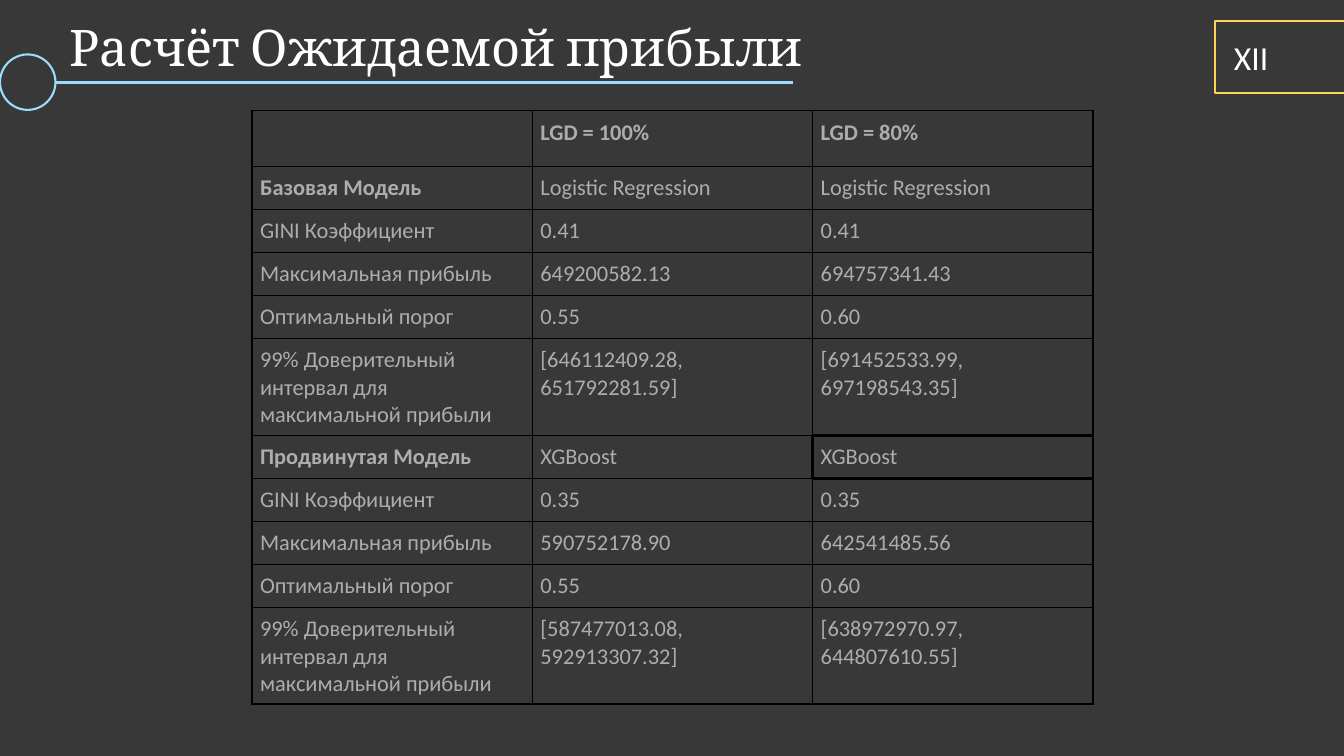
"""Build the expected profit slide with its model comparison table."""
from dataclasses import dataclass

from lxml import etree
from pptx import Presentation
from pptx.dml.color import RGBColor
from pptx.enum.shapes import MSO_CONNECTOR, MSO_SHAPE
from pptx.enum.text import MSO_AUTO_SIZE
from pptx.oxml.ns import qn
from pptx.util import Inches, Pt

STRAIGHT = MSO_CONNECTOR.STRAIGHT
OVAL, RECTANGLE = MSO_SHAPE.OVAL, MSO_SHAPE.RECTANGLE
FIT_SHAPE = MSO_AUTO_SIZE.SHAPE_TO_FIT_TEXT

BACKGROUND, WHITE, GRAY, BLACK = "383838", "FFFFFF", "ADADAD", "000000"
BLUE, YELLOW = "9CDCFE", "FED355"
THIN, THICK = 1, 2.25
HEADER_HEIGHT, ROW_HEIGHT, INTERVAL_HEIGHT = 0.55, 0.42, 0.96
COLUMN_WIDTH = 2.78
CELL_MARGIN = 0.08
HIGHLIGHTED = (6, 2)
SIDES = {"L": (0, -1), "R": (0, 1), "T": (-1, 0), "B": (1, 0)}


@dataclass
class Label:
    text: str
    left: float
    top: float
    width: float
    height: float
    size: float
    font: str
    wrap: bool


@dataclass
class Outline:
    kind: int
    left: float
    top: float
    width: float
    height: float
    color: str


@dataclass
class Model:
    title: str
    name: str
    gini: str
    profits: tuple[str, str]
    intervals: tuple[str, str]

    def rows(self) -> list[tuple[str, str, str]]:
        return [
            (self.title, self.name, self.name),
            ("GINI Коэффициент", self.gini, self.gini),
            ("Максимальная прибыль", *self.profits),
            ("Оптимальный порог", "0.55", "0.60"),
            ("99% Доверительный интервал для максимальной прибыли", *self.intervals),
        ]


LABELS = [
    Label("Расчёт Ожидаемой прибыли", 0.59, 0.11, 11.07, 0.71, 36, "Cambria", True),
    Label("XII", 12.14, 0.32, 0.77, 0.5, 24, "Calibri", False),
]
OUTLINES = [
    Outline(OVAL, 0, 0.54, 0.55, 0.55, BLUE),
    Outline(RECTANGLE, 12.05, 0.21, 1.61, 0.71, YELLOW),
]
MODELS = [
    Model("Базовая Модель", "Logistic Regression", "0.41",
          ("649200582.13", "694757341.43"),
          ("[646112409.28, 651792281.59]", "[691452533.99, 697198543.35]")),
    Model("Продвинутая Модель", "XGBoost", "0.35",
          ("590752178.90", "642541485.56"),
          ("[587477013.08, 592913307.32]", "[638972970.97, 644807610.55]")),
]


def rgb(value: str) -> RGBColor:
    return RGBColor.from_string(value)


def write(paragraph, text: str, color: str, **formats) -> None:
    span = paragraph.add_run()
    span.text = text
    for name, value in formats.items():
        setattr(span.font, name, value)
    span.font.color.rgb = rgb(color)


def add_label(page, label: Label) -> None:
    box = page.shapes.add_textbox(Inches(label.left), Inches(label.top),
                                  Inches(label.width), Inches(label.height))
    frame = box.text_frame
    frame.word_wrap = label.wrap
    frame.auto_size = FIT_SHAPE
    write(frame.paragraphs[0], label.text, WHITE, size=Pt(label.size), name=label.font)


def add_outline(page, outline: Outline) -> None:
    shape = page.shapes.add_shape(outline.kind, Inches(outline.left), Inches(outline.top),
                                  Inches(outline.width), Inches(outline.height))
    shape.shadow.inherit = False
    shape.fill.background()
    shape.line.color.rgb = rgb(outline.color)
    shape.line.width = Pt(1.5)


def add_title_rule(page) -> None:
    rule = page.shapes.add_connector(STRAIGHT, Inches(0.55), Inches(0.82),
                                     Inches(7.87), Inches(0.82))
    rule.line.color.rgb = rgb(BLUE)
    rule.line.width = Pt(2.25)
    etree.SubElement(rule._element.spPr, qn("a:effectLst"))


def add_borders(cell, row: int, column: int) -> None:
    properties = cell._tc.get_or_add_tcPr()
    for side, (down, across) in SIDES.items():
        touching = HIGHLIGHTED in ((row, column), (row + down, column + across))
        width = Pt(THICK if touching else THIN)
        border = etree.SubElement(properties, qn(f"a:ln{side}"), w=str(width))
        fill = etree.SubElement(border, qn("a:solidFill"))
        etree.SubElement(fill, qn("a:srgbClr"), val=BLACK)


def add_profit_table(page) -> None:
    rows = [("", "LGD = 100%", "LGD = 80%")]
    heights = [HEADER_HEIGHT]
    for model in MODELS:
        rows += model.rows()
        heights += [ROW_HEIGHT] * 4 + [INTERVAL_HEIGHT]
    titles = [model.title for model in MODELS]
    table = page.shapes.add_table(len(rows), 3, Inches(2.5), Inches(1.1),
                                  Inches(3 * COLUMN_WIDTH), Inches(sum(heights))).table
    table.first_row = table.horz_banding = False
    for column in table.columns:
        column.width = Inches(COLUMN_WIDTH)
    for row, (texts, height) in enumerate(zip(rows, heights)):
        table.rows[row].height = Inches(height)
        for column, text in enumerate(texts):
            cell = table.cell(row, column)
            for side in ("left", "right", "top", "bottom"):
                setattr(cell, f"margin_{side}", Inches(CELL_MARGIN))
            add_borders(cell, row, column)
            cell.fill.background()
            if text:
                paragraph = cell.text_frame.paragraphs[0]
                paragraph.space_after = Pt(12)
                write(paragraph, text, GRAY, size=Pt(16), name="Calibri",
                      bold=row == 0 or text in titles)


def main() -> None:
    deck = Presentation()
    deck.slide_width, deck.slide_height = Inches(13.33), Inches(7.5)
    page = deck.slides.add_slide(deck.slide_layouts[6])
    page.background.fill.solid()
    page.background.fill.fore_color.rgb = rgb(BACKGROUND)
    for outline in OUTLINES:
        add_outline(page, outline)
    add_title_rule(page)
    for label in LABELS:
        add_label(page, label)
    add_profit_table(page)
    deck.save("out.pptx")


if __name__ == "__main__":
    main()
